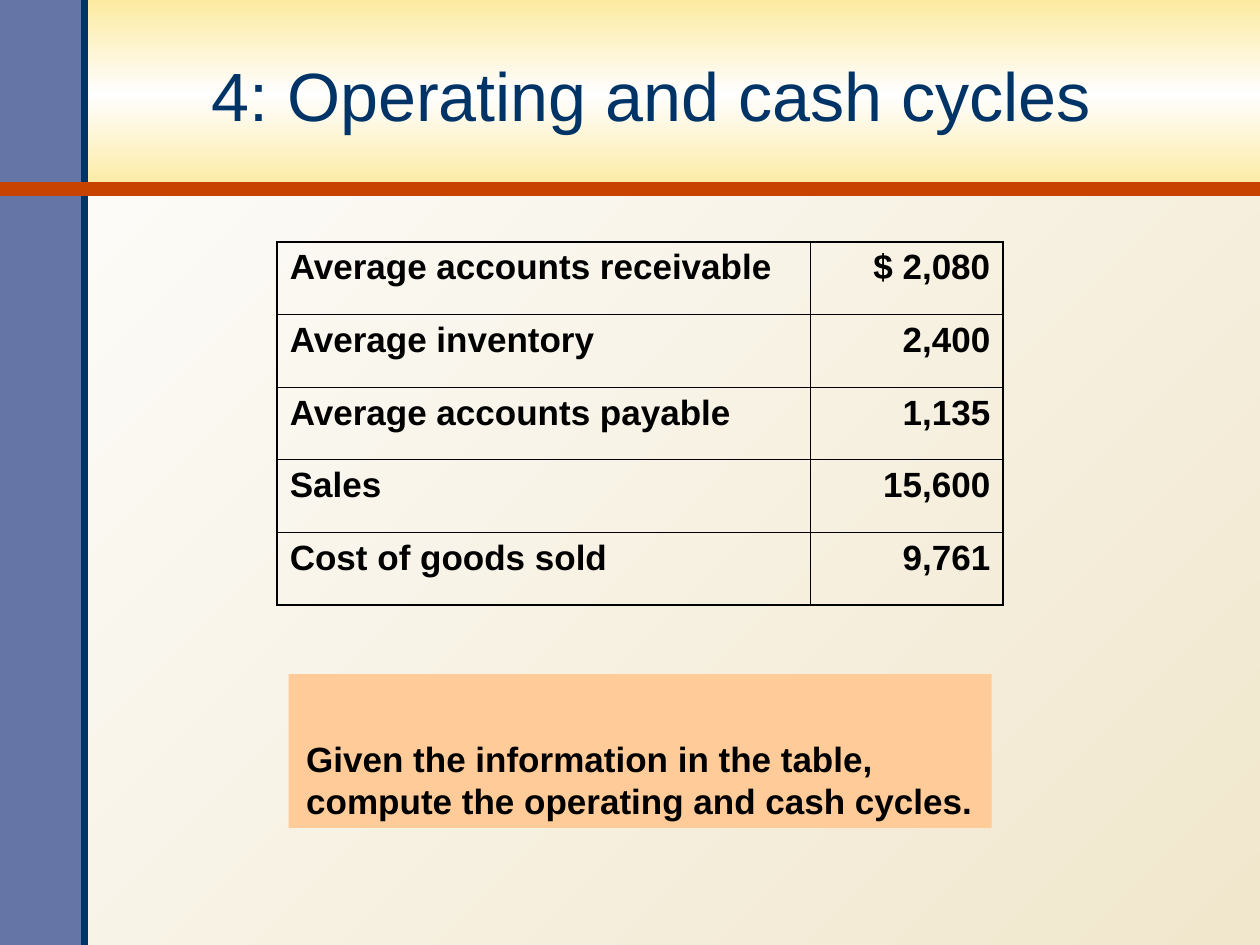
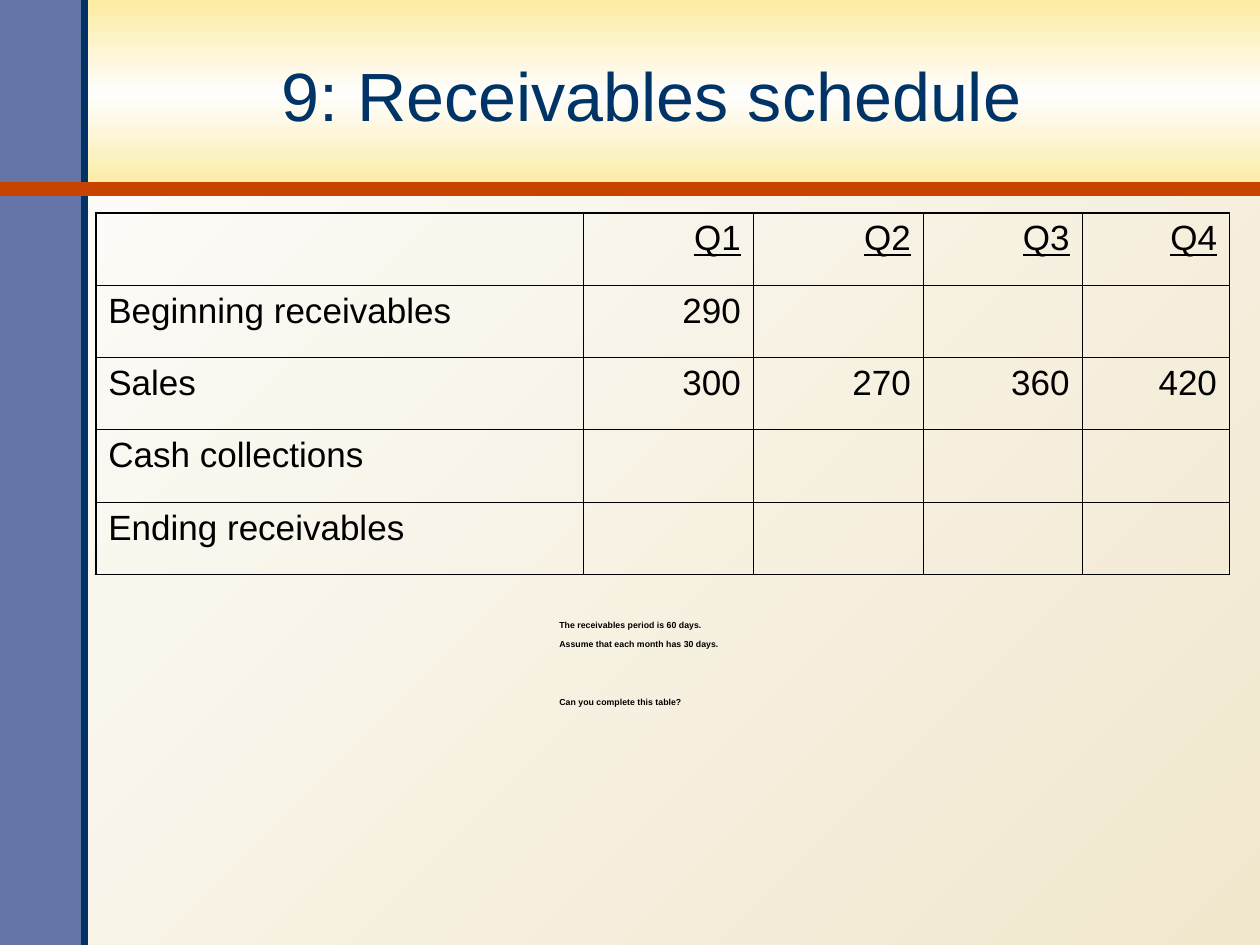
from copy import deepcopy
from dataclasses import dataclass
from typing import Any

from lxml.etree import SubElement
from pptx import Presentation
from pptx.dml.color import RGBColor
from pptx.dml.fill import FillFormat
from pptx.enum.shapes import MSO_CONNECTOR, MSO_SHAPE
from pptx.enum.text import MSO_ANCHOR, MSO_AUTO_SIZE, PP_ALIGN
from pptx.oxml.ns import qn
from pptx.slide import Slide
from pptx.util import Inches, Pt

COLUMNS, ROWS = 100, 75
CELL = Inches(10) / COLUMNS
FONT = "Arial"
COLOURS = {
    "sand": "F1E7CD",
    "white": "FEFEFE",
    "yellow": "FDEBA1",
    "slate": "6475A6",
    "navy": "003366",
    "rust": "C84300",
    "peach": "FFCC99",
    "black": "000000",
}
SIDE_WIDTH = 6.7
HEADER_HEIGHT = 15
OUTER_BORDER, INNER_BORDER = 1.08, 0.45


@dataclass(frozen=True)
class Frame:
    left: float
    top: float
    width: float
    height: float

    def lengths(self) -> list[int]:
        return [grid(value) for value in (self.left, self.top, self.width, self.height)]


@dataclass(frozen=True)
class Rule:
    start: tuple[float, float]
    end: tuple[float, float]
    colour: str
    weight: float


@dataclass(frozen=True)
class Note:
    frame: Frame
    lines: list[tuple[str, float]]
    size: float
    indent: float
    fill: str | None = None


@dataclass(frozen=True)
class Schedule:
    left: float
    top: float
    column_widths: list[float]
    height: float
    values: list[list[str]]
    text_format: dict[str, Any]
    header_format: dict[str, Any]


@dataclass(frozen=True)
class Page:
    title: str
    schedule: Schedule
    note: Note


TITLE_FRAME = Frame(6.5, 1.5, 90.4, 12)
RULES = [
    Rule((SIDE_WIDTH, ROWS), (SIDE_WIDTH, 0), "navy", 4),
    Rule((0, HEADER_HEIGHT), (COLUMNS, HEADER_HEIGHT), "rust", 8),
]

PAGES = [
    Page(
        "4: Operating and cash cycles",
        Schedule(
            22, 19.2, [42.3, 15.3], 28.8,
            [
                ["Average accounts receivable", "$ 2,080"],
                ["Average inventory", "2,400"],
                ["Average accounts payable", "1,135"],
                ["Sales", "15,600"],
                ["Cost of goods sold", "9,761"],
            ],
            {"bold": True}, {"bold": True},
        ),
        Note(
            Frame(22.9, 53.5, 55.8, 12.2),
            [("Given the information in the table, compute the operating and cash cycles.", 0)],
            20, 1.4, "peach",
        ),
    ),
    Page(
        "9: Receivables schedule",
        Schedule(
            7.6, 16.9, [38.7, 13.5, 13.5, 12.6, 11.7], 28.7,
            [
                ["", "Q1", "Q2", "Q3", "Q4"],
                ["Beginning receivables", "290", "", "", ""],
                ["Sales", "300", "270", "360", "420"],
                ["Cash collections", "", "", "", ""],
                ["Ending receivables", "", "", "", ""],
            ],
            {}, {"underline": True},
        ),
        Note(
            Frame(8.3, 44.2, 85, 9.9),
            [
                ("The receivables period is 60 days.", 0),
                ("Assume that each month has 30 days.", 5),
                ("Can you complete this table?", 27),
            ],
            5, 36.1,
        ),
    ),
]


def grid(value: float) -> int:
    return round(value * CELL)


def colour(name: str) -> RGBColor:
    return RGBColor.from_string(COLOURS[name])


def apply_format(target: Any, values: dict[str, Any]) -> None:
    for name, value in values.items():
        setattr(target, name, value)


def write_text(paragraph: Any, text: str, size: float, colour_name: str, extra: dict[str, Any]) -> None:
    run = paragraph.add_run()
    run.text = text
    apply_format(run.font, {"name": FONT, "size": Pt(size), **extra})
    run.font.color.rgb = colour(colour_name)


def set_gradient(fill: FillFormat, element: Any, names: list[str], angle: float) -> None:
    fill.gradient()
    fill.gradient_angle = angle
    stop_list = next(element.iter(qn("a:gsLst")))
    while len(stop_list) < len(names):
        stop_list.append(deepcopy(stop_list[0]))
    for index, (stop, name) in enumerate(zip(fill.gradient_stops, names)):
        stop.color.rgb = colour(name)
        stop.position = index / (len(names) - 1)


def add_band(slide: Slide, frame: Frame) -> Any:
    band = slide.shapes.add_shape(MSO_SHAPE.RECTANGLE, *frame.lengths())
    band.shadow.inherit = False
    band.line.fill.background()
    return band


def add_rule(slide: Slide, rule: Rule) -> None:
    ends = [grid(value) for value in (*rule.start, *rule.end)]
    connector = slide.shapes.add_connector(MSO_CONNECTOR.STRAIGHT, *ends)
    connector.line.color.rgb = colour(rule.colour)
    connector.line.width = Pt(rule.weight)
    SubElement(connector._element.spPr, qn("a:effectLst"))


def add_backdrop(slide: Slide) -> None:
    set_gradient(slide.background.fill, slide._element, ["sand", "white"], 135)
    header = add_band(slide, Frame(0, 0, COLUMNS, HEADER_HEIGHT))
    set_gradient(header.fill, header._element, ["yellow", "white", "yellow"], 270)
    side = add_band(slide, Frame(0, 0, SIDE_WIDTH, ROWS))
    side.fill.solid()
    side.fill.fore_color.rgb = colour("slate")
    for rule in RULES:
        add_rule(slide, rule)


def place_title(slide: Slide, text: str) -> None:
    title = slide.shapes.title
    slide.shapes._spTree.append(title._element)
    apply_format(title, dict(zip(("left", "top", "width", "height"), TITLE_FRAME.lengths())))
    apply_format(title.text_frame, {
        "vertical_anchor": MSO_ANCHOR.MIDDLE,
        "auto_size": MSO_AUTO_SIZE.NONE,
        "word_wrap": True,
    })
    paragraph = title.text_frame.paragraphs[0]
    paragraph.alignment = PP_ALIGN.CENTER
    write_text(paragraph, text, 39, "navy", {})


def add_border(cell: Any, side: str, weight: float) -> None:
    line = SubElement(cell._tc.get_or_add_tcPr(), qn(f"a:ln{side}"), w=str(Pt(weight)))
    fill = SubElement(line, qn("a:solidFill"))
    SubElement(fill, qn("a:srgbClr"), val=COLOURS["black"])


def add_schedule(slide: Slide, schedule: Schedule) -> None:
    row_count, column_count = len(schedule.values), len(schedule.column_widths)
    frame = Frame(schedule.left, schedule.top, sum(schedule.column_widths), schedule.height)
    table = slide.shapes.add_table(row_count, column_count, *frame.lengths()).table
    apply_format(table, {"first_row": False, "horz_banding": False})
    for column, width in zip(table.columns, schedule.column_widths):
        column.width = grid(width)
    for row_index, row in enumerate(schedule.values):
        for column_index, text in enumerate(row):
            cell = table.cell(row_index, column_index)
            outer_sides = {
                "L": column_index == 0,
                "R": column_index == column_count - 1,
                "T": row_index == 0,
                "B": row_index == row_count - 1,
            }
            for side, is_outer in outer_sides.items():
                add_border(cell, side, OUTER_BORDER if is_outer else INNER_BORDER)
            cell.fill.background()
            if text:
                paragraph = cell.text_frame.paragraphs[0]
                paragraph.alignment = PP_ALIGN.RIGHT if column_index else PP_ALIGN.LEFT
                extra = schedule.text_format if row_index else schedule.header_format
                write_text(paragraph, text, 20, "black", extra)


def add_note(slide: Slide, note: Note) -> None:
    box = slide.shapes.add_textbox(*note.frame.lengths())
    if note.fill:
        box.fill.solid()
        box.fill.fore_color.rgb = colour(note.fill)
    text_frame = box.text_frame
    apply_format(text_frame, {
        "word_wrap": True,
        "margin_left": grid(note.indent),
        "margin_top": grid(5),
    })
    for index, (text, space_before) in enumerate(note.lines):
        paragraph = text_frame.add_paragraph() if index else text_frame.paragraphs[0]
        paragraph.space_before = Pt(space_before)
        write_text(paragraph, text, note.size, "black", {"bold": True})


def main() -> None:
    presentation = Presentation()
    presentation.slide_width = grid(COLUMNS)
    presentation.slide_height = grid(ROWS)
    for page in PAGES:
        slide = presentation.slides.add_slide(presentation.slide_layouts[5])
        add_backdrop(slide)
        place_title(slide, page.title)
        add_note(slide, page.note)
        add_schedule(slide, page.schedule)
    presentation.save("out.pptx")


if __name__ == "__main__":
    main()
